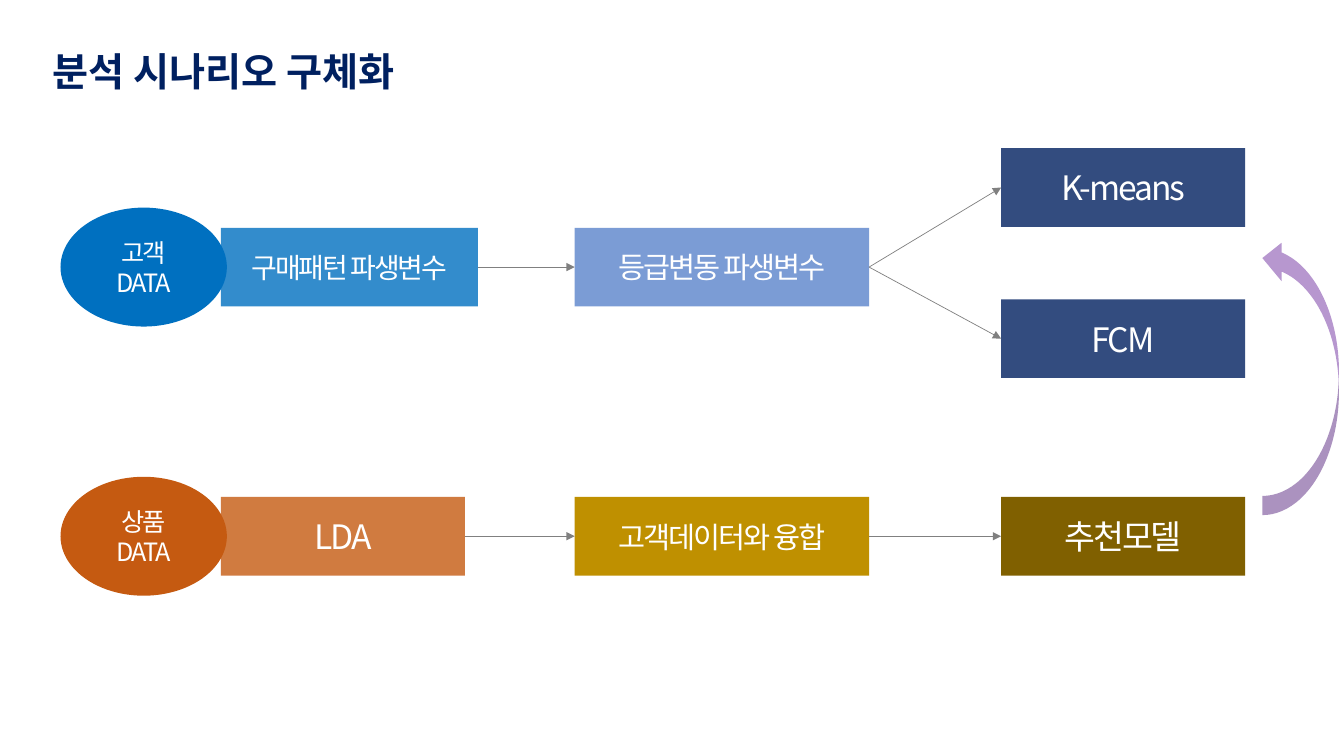
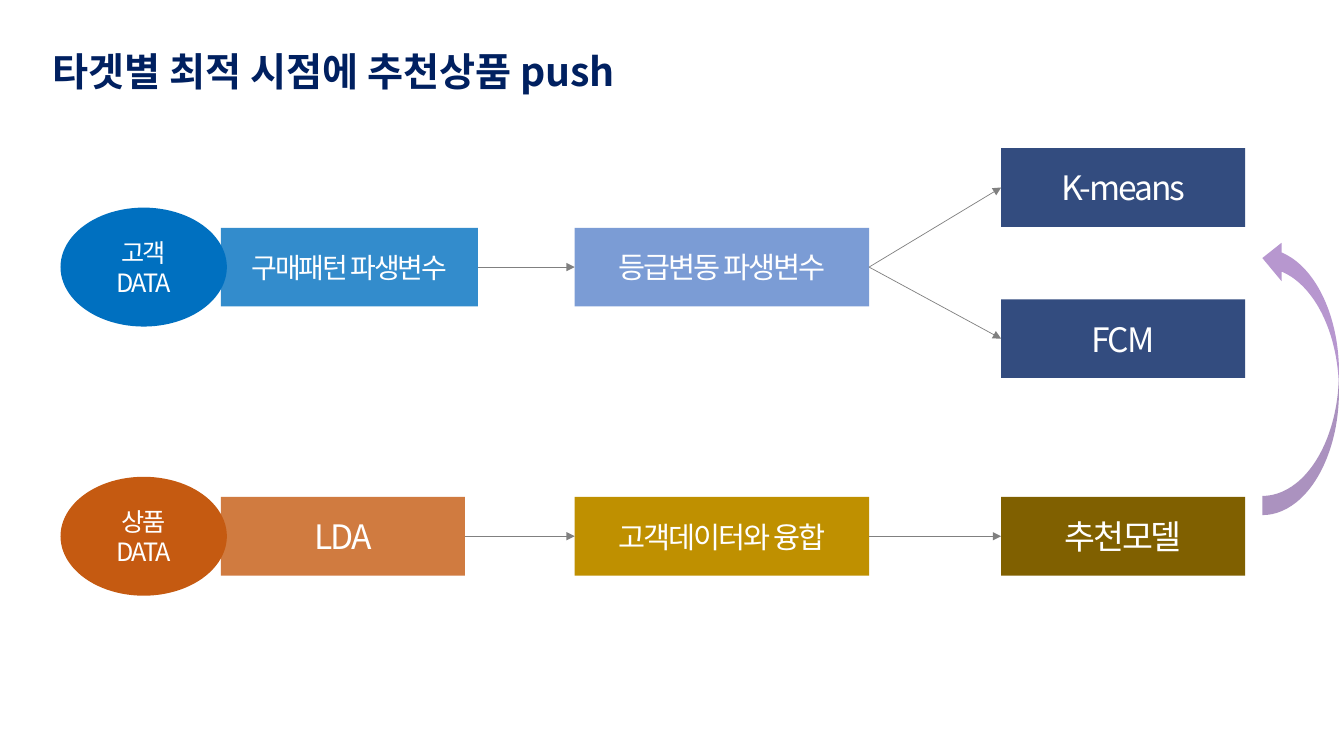
from lxml import etree
from pptx import Presentation
from pptx.dml.color import RGBColor
from pptx.enum.shapes import MSO_CONNECTOR, MSO_SHAPE
from pptx.enum.text import MSO_ANCHOR, MSO_AUTO_SIZE, PP_ALIGN
from pptx.oxml.ns import qn
from pptx.util import Inches, Pt

RECT, ELLIPSE = MSO_SHAPE.RECTANGLE, MSO_SHAPE.OVAL
CURVED_ARROW = MSO_SHAPE.CURVED_RIGHT_ARROW
STRAIGHT = MSO_CONNECTOR.STRAIGHT
LEFT, CENTER = PP_ALIGN.LEFT, PP_ALIGN.CENTER
TOP, MIDDLE = MSO_ANCHOR.TOP, MSO_ANCHOR.MIDDLE
LEFT_SIDE, RIGHT_SIDE = 1, 3

FONT = "Noto Sans CJK KR"
NAVY, WHITE, GRAY = "002060", "FFFFFF", "808080"
BLUE, ORANGE, PURPLE = "0070C0", "C55A11", "7030A0"

TITLES = ["분석 시나리오 구체화", "타겟별 최적 시점에 추천상품 push"]

CUSTOMER_Y, PRODUCT_Y = 2.65, 5.32
COLUMN_X = [2.19, 5.7, 9.93]
BOX_H = 0.78

# text: column, centre y, width, fill, opacity in percent, font size
BOXES = {
    "구매패턴 파생변수": (0, CUSTOMER_Y, 2.55, BLUE, 80, 20),
    "등급변동 파생변수": (1, CUSTOMER_Y, 2.92, "4472C4", 70, 21),
    "K-means": (2, 1.86, 2.42, NAVY, 80, 24),
    "FCM": (2, 3.36, 2.42, NAVY, 80, 24),
    "LDA": (0, PRODUCT_Y, 2.42, ORANGE, 80, 24),
    "고객데이터와 융합": (1, PRODUCT_Y, 2.92, "BF9000", 100, 21),
    "추천모델": (2, PRODUCT_Y, 2.42, "806000", 100, 24),
}
FLOWS = [
    ("구매패턴 파생변수", "등급변동 파생변수"),
    ("등급변동 파생변수", "K-means"),
    ("등급변동 파생변수", "FCM"),
    ("LDA", "고객데이터와 융합"),
    ("고객데이터와 융합", "추천모델"),
]
SOURCES = [("고객\nDATA", CUSTOMER_Y, BLUE), ("상품\nDATA", PRODUCT_Y, ORANGE)]
SOURCE_X, SOURCE_W, SOURCE_H = 0.6, 1.65, 1.18


def rgb(color):
    return RGBColor.from_string(color)


def write(sp, text, size, color=WHITE, bold=False, align=CENTER, anchor=MIDDLE,
          line_spacing=None, tracking=0):
    """Fill a shape with text, one paragraph a line; tracking is in points."""
    tf = sp.text_frame
    tf.word_wrap = True
    tf.vertical_anchor = anchor
    tf.text = text
    for p in tf.paragraphs:
        p.alignment = align
        p.line_spacing = line_spacing
        for r in p.runs:
            r.font.size, r.font.bold = Pt(size), bold
            r.font.color.rgb = rgb(color)
            r.font.name = FONT
            props = r._r.get_or_add_rPr()
            etree.SubElement(props, qn("a:ea")).set("typeface", FONT)
            if tracking:
                props.set("spc", str(round(tracking * 100)))


def add_shape(s, kind, x, y, w, h, fill, opacity=100):
    sp = s.shapes.add_shape(kind, Inches(x), Inches(y), Inches(w), Inches(h))
    sp.shadow.inherit = False
    sp.line.fill.background()
    sp.fill.solid()
    sp.fill.fore_color.rgb = rgb(fill)
    if opacity < 100:
        color = sp._element.spPr.find(qn("a:solidFill")).find(qn("a:srgbClr"))
        etree.SubElement(color, qn("a:alpha")).set("val", str(opacity * 1000))
    return sp


def add_arrow(s, start, end):
    line = s.shapes.add_connector(STRAIGHT, 0, 0, 0, 0)
    line.begin_connect(start, RIGHT_SIDE)
    line.end_connect(end, LEFT_SIDE)
    line.line.color.rgb = rgb(GRAY)
    line.line.width = Pt(0.5)
    ln = line.line._get_or_add_ln()
    etree.SubElement(ln, qn("a:tailEnd")).set("type", "triangle")
    etree.SubElement(line._element.spPr, qn("a:effectLst"))


def add_title(s, text):
    title = s.shapes.title
    title.left, title.top = Inches(0.42), Inches(0.47)
    title.width, title.height = Inches(9.18), Inches(0.54)
    write(title, text, 28, color=NAVY, bold=True, align=LEFT, anchor=TOP,
          line_spacing=0.9)
    title.text_frame.auto_size = MSO_AUTO_SIZE.SHAPE_TO_FIT_TEXT


def add_scenario(s):
    boxes = {}
    for text, (column, y, w, fill, opacity, size) in BOXES.items():
        sp = add_shape(s, RECT, COLUMN_X[column], y - BOX_H / 2, w, BOX_H, fill, opacity)
        write(sp, text, size, tracking=-1.5)
        boxes[text] = sp
    for start, end in FLOWS:
        add_arrow(s, boxes[start], boxes[end])
    for text, y, fill in SOURCES:
        sp = add_shape(s, ELLIPSE, SOURCE_X, y - SOURCE_H / 2, SOURCE_W, SOURCE_H, fill)
        write(sp, text, 18, tracking=-1.5)
    feedback = add_shape(s, CURVED_ARROW, 12.52, 2.37, 0.76, 2.74, PURPLE, 50)
    feedback.rotation = 180


def main():
    prs = Presentation()
    prs.slide_width, prs.slide_height = Inches(13.33), Inches(7.5)
    for text in TITLES:
        s = prs.slides.add_slide(prs.slide_layouts[5])
        add_title(s, text)
        add_scenario(s)
    prs.save("out.pptx")


if __name__ == "__main__":
    main()
